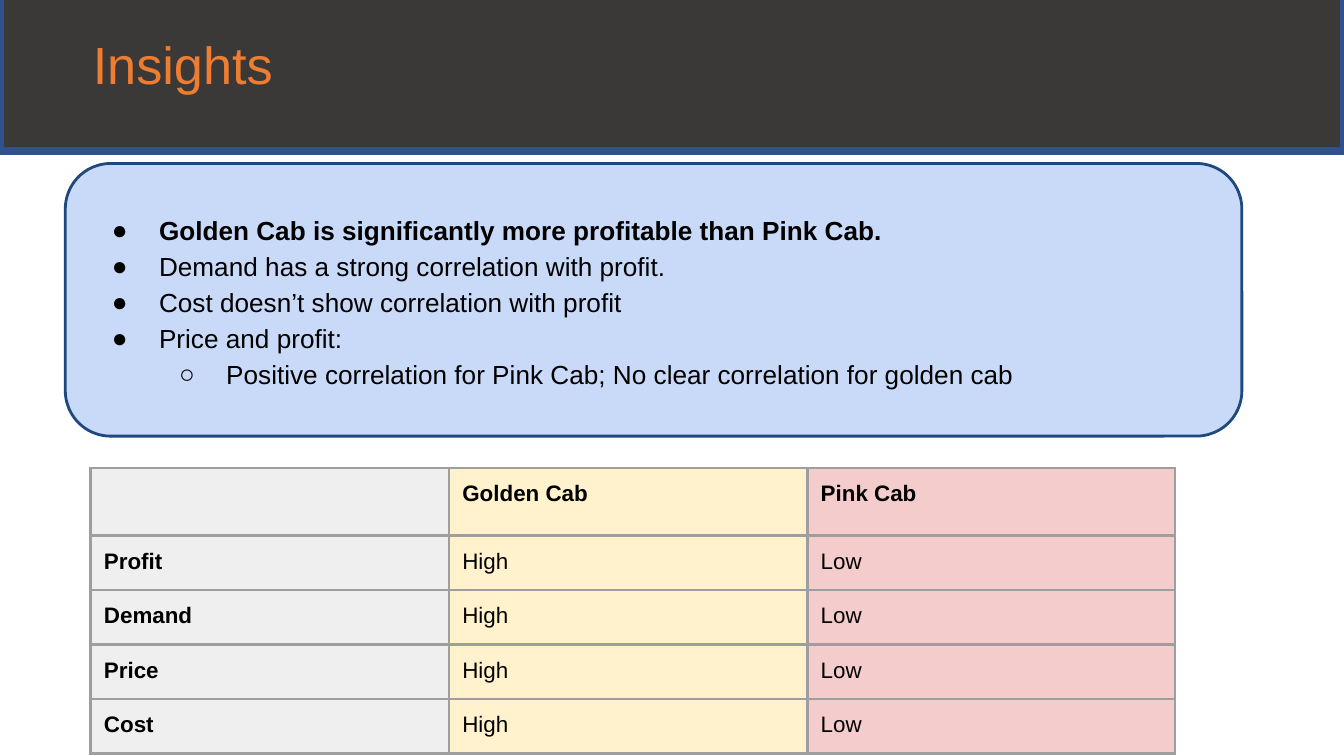
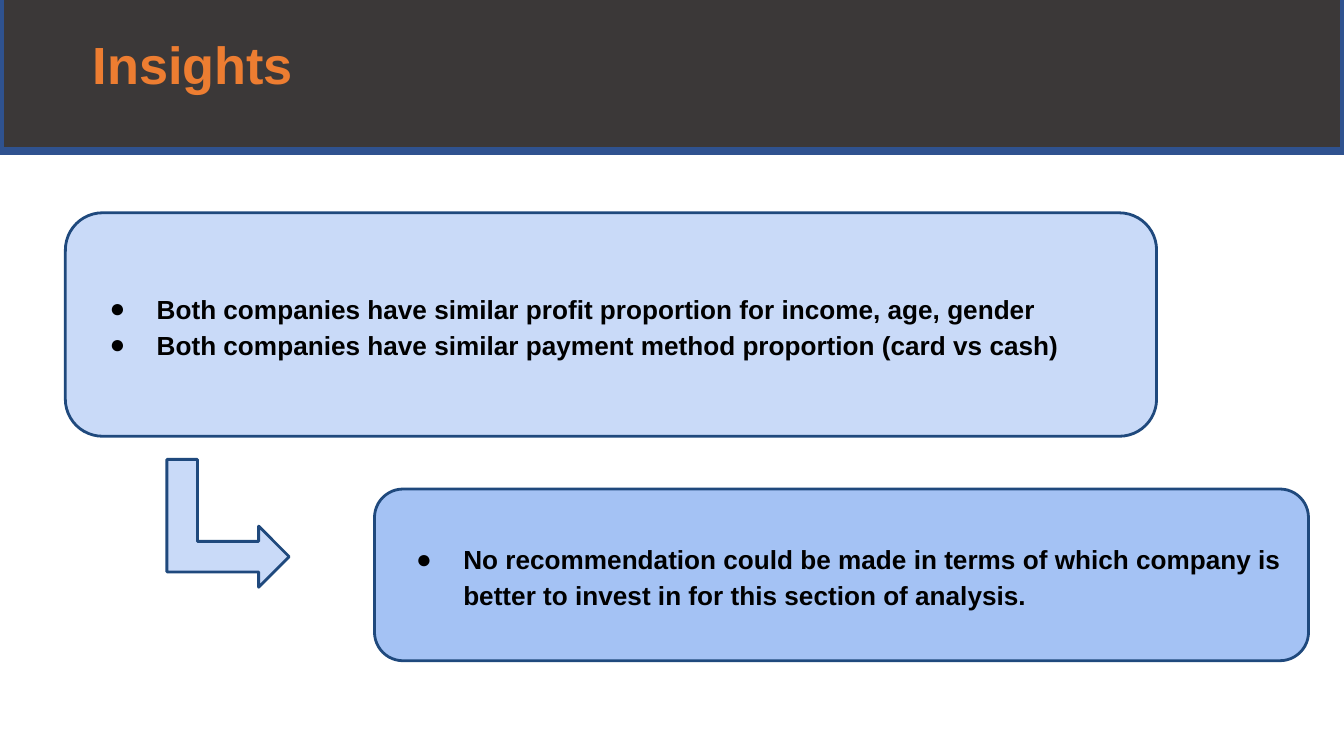
from lxml import etree
from pptx import Presentation
from pptx.dml.color import RGBColor
from pptx.enum.shapes import MSO_SHAPE
from pptx.enum.text import MSO_ANCHOR, PP_ALIGN
from pptx.oxml.ns import qn
from pptx.util import Pt

WIDTH, HEIGHT, BAND_HEIGHT = 720, 405, 81
INSET = 7.2
FONT = "Arial"
COLORS = {
    "band": "3B3838", "band_edge": "2F528F", "title": "ED7D31", "text": "000000",
    "box": "C9DAF8", "conclusion": "A4C2F4", "edge": "1F497D",
    "grid": "9E9E9E", "label": "EFEFEF", "golden": "FFF2CC", "pink": "F4CCCC",
}


def rgb(name):
    return RGBColor.from_string(COLORS[name])


def write(paragraph, text, size=14, color="text", bold=False):
    """Add one formatted run to a paragraph."""
    run = paragraph.add_run()
    run.text = text
    run.font.name = FONT
    run.font.size = Pt(size)
    run.font.bold = bold
    run.font.color.rgb = rgb(color)


def add_color(parent, tag, name):
    holder = etree.SubElement(parent, qn(tag))
    etree.SubElement(holder, qn("a:srgbClr"), val=COLORS[name])


class Deck:
    """Holds the shared style and the slide being built."""

    def __init__(self):
        self.prs = Presentation()
        self.prs.slide_width, self.prs.slide_height = Pt(WIDTH), Pt(HEIGHT)
        self.slide = None

    def start_slide(self, title, bold=False):
        self.slide = self.prs.slides.add_slide(self.prs.slide_layouts[6])
        # Header band and its edge, open at the top
        corners = [(WIDTH, 0), (WIDTH, BAND_HEIGHT), (0, BAND_HEIGHT), (0, 0)]
        self.outline(corners, close=True, fill="band")
        self.outline(corners, line="band_edge", weight=4.17)
        # Title
        heading = self.slide.shapes.add_textbox(Pt(49.7), Pt(16.6), Pt(548.6), Pt(34.6))
        frame = heading.text_frame
        frame.word_wrap = True
        self.set_margins(frame, 0)
        frame.margin_top = Pt(0.9)
        write(frame.paragraphs[0], title, size=28, color="title", bold=bold)

    def set_margins(self, holder, inset):
        holder.margin_left = holder.margin_right = Pt(inset)
        holder.margin_top = holder.margin_bottom = Pt(inset)

    def paint(self, shape, fill=None, line=None, weight=1.5):
        shape.shadow.inherit = False
        if fill:
            shape.fill.solid()
            shape.fill.fore_color.rgb = rgb(fill)
        else:
            shape.fill.background()
        if line:
            shape.line.color.rgb = rgb(line)
            shape.line.width = Pt(weight)
        else:
            shape.line.fill.background()

    def outline(self, points, close=False, **look):
        corners = [(Pt(x), Pt(y)) for x, y in points]
        builder = self.slide.shapes.build_freeform(*corners[0])
        builder.add_line_segments(corners[1:], close=close)
        self.paint(builder.convert_to_shape(), **look)

    def shape(self, kind, left, top, width, height, fill, rotation=0):
        shape = self.slide.shapes.add_shape(kind, Pt(left), Pt(top), Pt(width), Pt(height))
        shape.rotation = rotation
        self.paint(shape, fill=fill, line="edge")
        return shape

    def bullet_box(self, left, top, width, height, points, fill="box"):
        """Rounded box; points are (text, level, bold)."""
        box = self.shape(MSO_SHAPE.ROUNDED_RECTANGLE, left, top, width, height, fill)
        frame = box.text_frame
        frame.word_wrap = True
        frame.vertical_anchor = MSO_ANCHOR.MIDDLE
        self.set_margins(frame, INSET)
        for index, (text, level, bold) in enumerate(points):
            paragraph = frame.add_paragraph() if index else frame.paragraphs[0]
            paragraph.alignment = PP_ALIGN.LEFT
            paragraph.level = level
            paragraph.line_spacing = 1.15
            write(paragraph, text, bold=bold)
            self.bullet(paragraph, level)

    def bullet(self, paragraph, level):
        props = paragraph._p.get_or_add_pPr()
        props.set("marL", str(Pt(36 * (level + 1))))
        props.set("indent", str(Pt(-25.2)))
        add_color(props, "a:buClr", "text")
        etree.SubElement(props, qn("a:buFont"), typeface=FONT)
        etree.SubElement(props, qn("a:buChar"), char="●○"[level])

    def table(self, left, top, widths, row_height, rows, fills):
        grid = self.slide.shapes.add_table(
            len(rows), len(widths), Pt(left), Pt(top),
            Pt(sum(widths)), Pt(row_height * len(rows))).table
        grid.first_row = grid.horz_banding = False
        for column, width in zip(grid.columns, widths):
            column.width = Pt(width)
        for r, row in enumerate(rows):
            grid.rows[r].height = Pt(row_height)
            for c, text in enumerate(row):
                cell = grid.cell(r, c)
                self.set_margins(cell, INSET)
                self.cell_borders(cell)
                cell.fill.solid()
                cell.fill.fore_color.rgb = rgb(fills[c])
                if text:
                    write(cell.text_frame.paragraphs[0], text, size=12,
                          bold=r == 0 or c == 0)

    def cell_borders(self, cell):
        props = cell._tc.get_or_add_tcPr()
        for side in ("a:lnL", "a:lnR", "a:lnT", "a:lnB"):
            border = etree.SubElement(props, qn(side), w=str(Pt(1.5)))
            add_color(border, "a:solidFill", "grid")


def main():
    deck = Deck()

    # Slide 1: profit drivers
    deck.start_slide("Insights")
    measures = ["Profit", "Demand", "Price", "Cost"]
    comparison = [["", "Golden Cab", "Pink Cab"]]
    comparison += [[measure, "High", "Low"] for measure in measures]
    deck.table(48.5, 250.8, [192, 192, 197], 29.2, comparison,
               ["label", "golden", "pink"])
    deck.bullet_box(35, 87.6, 630.3, 146.1, [
        ("Golden Cab is significantly more profitable than Pink Cab.", 0, True),
        ("Demand has a strong correlation with profit.", 0, False),
        ("Cost doesn’t show correlation with profit", 0, False),
        ("Price and profit:", 0, False),
        ("Positive correlation for Pink Cab; No clear correlation for golden cab", 1, False),
    ])

    # Slide 2: customer profile and conclusion
    deck.start_slide("Insights", bold=True)
    deck.bullet_box(35, 114, 584.6, 119.7, [
        ("Both companies have similar profit proportion for income, age, gender", 0, True),
        ("Both companies have similar payment method proportion (card vs cash)", 0, True),
    ])
    deck.shape(MSO_SHAPE.BENT_UP_ARROW, 87.9, 247.6, 68.5, 65.5, "box", rotation=90)
    deck.bullet_box(200.6, 262, 500.4, 92, [
        ("No recommendation could be made in terms of which company is better "
         "to invest in for this section of analysis.", 0, True),
    ], fill="conclusion")

    deck.prs.save("out.pptx")


if __name__ == "__main__":
    main()
